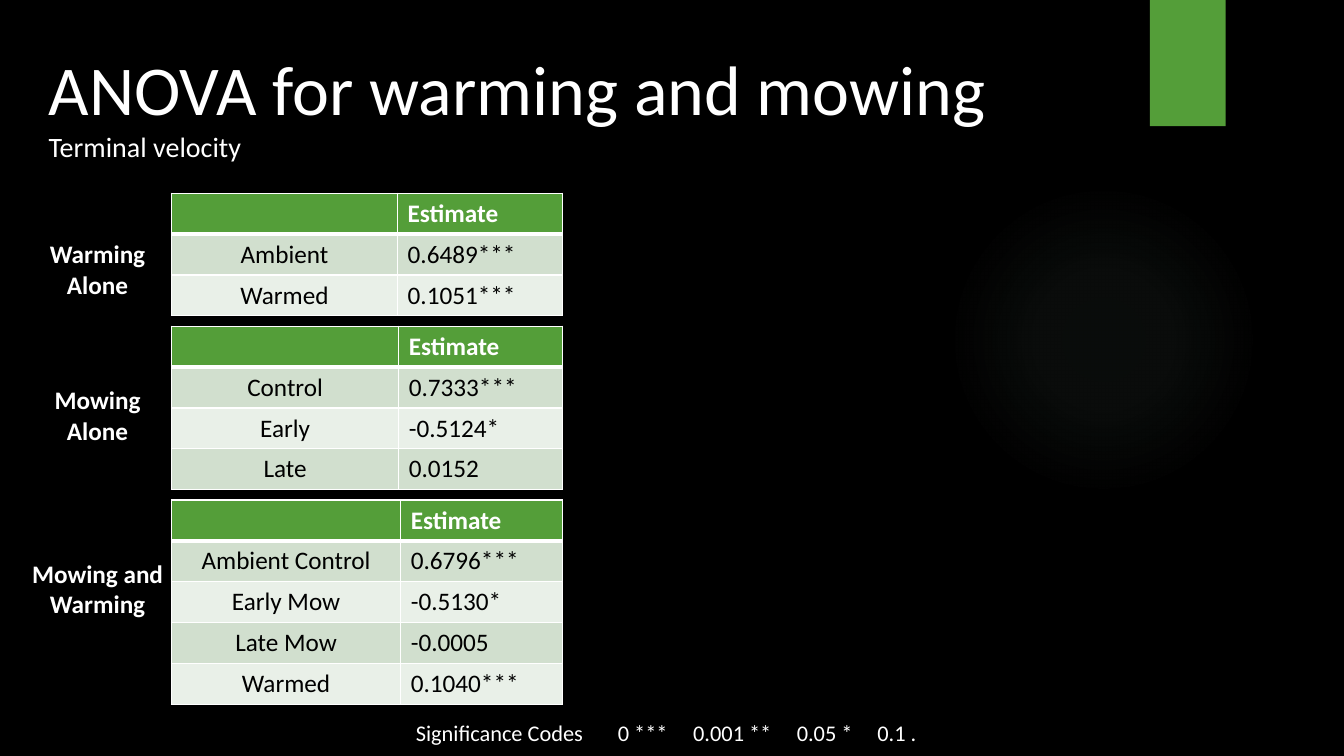
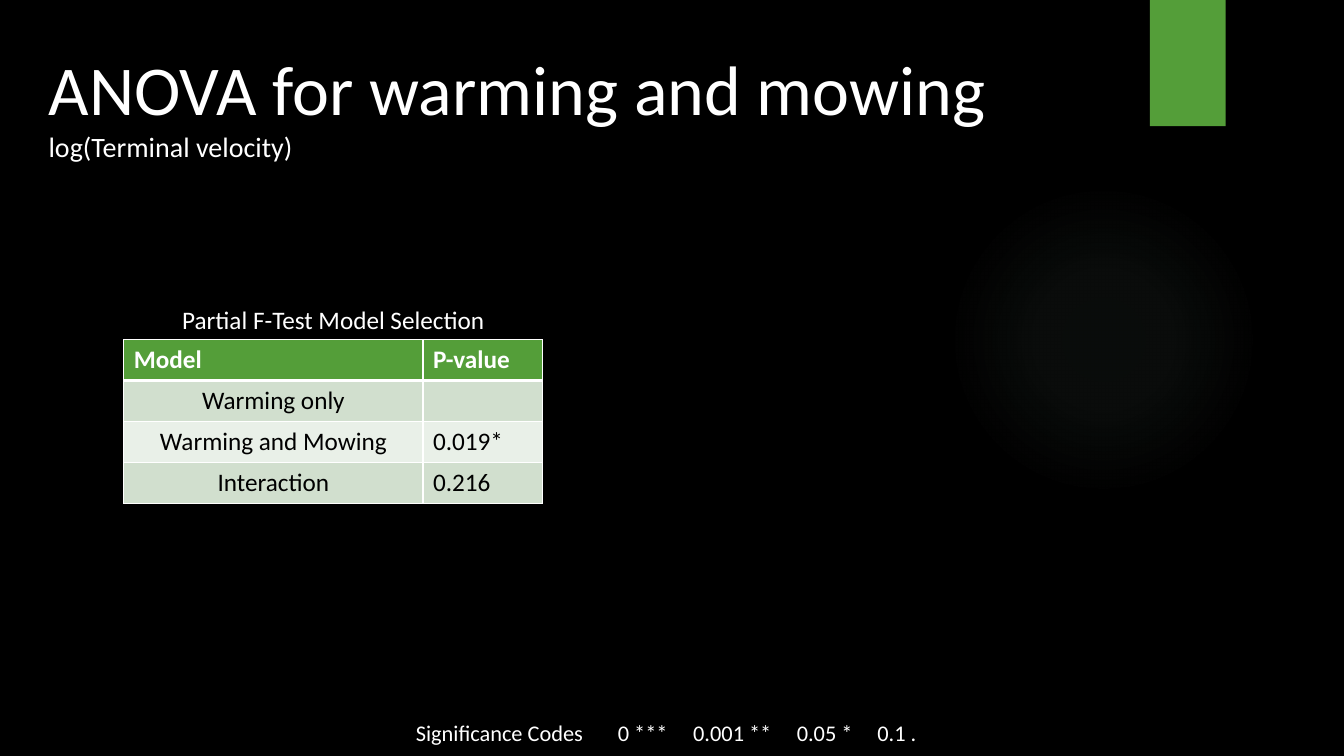
from pptx import Presentation
from pptx.dml.color import RGBColor
from pptx.enum.shapes import MSO_SHAPE
from pptx.enum.text import MSO_ANCHOR, MSO_AUTO_SIZE, PP_ALIGN
from pptx.oxml import parse_xml
from pptx.oxml.ns import nsdecls
from pptx.util import Cm, Pt

LEFT, MID = PP_ALIGN.LEFT, PP_ALIGN.CENTER
TOP = MSO_ANCHOR.TOP
FIXED = MSO_AUTO_SIZE.NONE
RECT, OVAL = MSO_SHAPE.RECTANGLE, MSO_SHAPE.OVAL
TITLE_ONLY = 5

HUES = {
    "back": "000000", "text": "FFFFFF", "ink": "000000", "rule": "FFFFFF",
    "green": "549E39", "odd": "D1DFCE", "even": "E9F0E8", "glow": "87A896",
}
FACE = "Calibri"
FORMS = {
    "title": {"size": Pt(50), "bold": False},
    "sub": {"size": Pt(20), "bold": False},
    "label": {"size": Pt(18), "bold": True},
    "plain": {"size": Pt(18), "bold": False},
    "codes": {"size": Pt(16), "bold": False},
}
WIDE, HIGH = 33.87, 19.05
ROW = 1.03
GAP = 0.26

CODES = ["Significance Codes", "0 ***", "0.001 **", "0.05 *", "0.1 ."]
STOPS = [5.09, 6.99, 9.6, 11.63]

# label, offset of label from table top, width of first column, rows
MODELS = [
    ("Warming Alone", 1.02, 5.7, [
        ("", "Estimate"), ("Ambient", "0.6489***"), ("Warmed", "0.1051***")]),
    ("Mowing Alone", 1.35, 5.73, [
        ("", "Estimate"), ("Control", "0.7333***"), ("Early", "-0.5124*"),
        ("Late", "0.0152")]),
    ("Mowing and Warming", 1.35, 5.78, [
        ("", "Estimate"), ("Ambient Control", "0.6796***"),
        ("Early Mow", "-0.5130*"), ("Late Mow", "-0.0005"),
        ("Warmed", "0.1040***")]),
]
TESTS = [
    ("Model", "P-value"), ("Warming only", ""),
    ("Warming and Mowing", "0.019*"), ("Interaction", "0.216"),
]


def box(*sides):
    return [Cm(side) for side in sides]


def paint(fill, hue):
    fill.solid()
    fill.fore_color.rgb = RGBColor.from_string(HUES[hue])


def write(para, text, form, hue="text", align=LEFT):
    para.alignment = align
    if not text:
        return
    run = para.add_run()
    run.text = text
    run.font.name = FACE
    run.font.color.rgb = RGBColor.from_string(HUES[hue])
    for name, value in FORMS[form].items():
        setattr(run.font, name, value)


def note(slide, area, text, form, align=MID):
    """Add a wrapped text box and return its paragraph."""
    frame = slide.shapes.add_textbox(*box(*area)).text_frame
    frame.word_wrap = True
    para = frame.paragraphs[0]
    write(para, text, form, align=align)
    return para


def haze(shape):
    """Fill a shape with a faint glow that fades outward."""
    stops = "".join(
        f'<a:gs pos="{pos}000"><a:srgbClr val="{HUES["glow"]}">'
        f'<a:alpha val="{alpha}000"/></a:srgbClr></a:gs>'
        for pos, alpha in [(0, 7), (36, 6), (69, 0), (100, 0)])
    grad = parse_xml(
        f'<a:gradFill {nsdecls("a")} rotWithShape="1"><a:gsLst>{stops}</a:gsLst>'
        '<a:path path="circle"><a:fillToRect l="50000" t="50000" r="50000"'
        ' b="50000"/></a:path></a:gradFill>')
    shape.element.spPr.insert(2, grad)


def dress(layout, slide):
    """Give the layout its background, decoration and title box."""
    paint(layout.background.fill, "back")
    glow = slide.shapes.add_shape(OVAL, *box(23.9, 4.65, 7.82, 7.82))
    haze(glow)
    bar = slide.shapes.add_shape(RECT, *box(28.98, 0, 1.91, 3.18))
    paint(bar.fill, "green")
    for spot, shape in enumerate((glow, bar), 2):
        shape.line.fill.background()
        shape.shadow.inherit = False
        layout.shapes.element.insert(spot, shape.element)
    title = layout.placeholders[0]
    area = box(0.97, 1.02, 25.02, 3.25)
    for name, value in zip(("left", "top", "width", "height"), area):
        setattr(title, name, value)


def head(slide, sub):
    frame = slide.shapes.title.text_frame
    frame.auto_size = FIXED
    frame.vertical_anchor = TOP
    write(frame.paragraphs[0], "ANOVA for warming and mowing", "title")
    write(frame.add_paragraph(), sub, "sub")


def foot(slide):
    para = note(slide, (10.23, 18, 13.4, 0.94), "\t".join(CODES), "codes", LEFT)
    tabs = "".join(f'<a:tab pos="{Cm(stop)}" algn="l"/>' for stop in STOPS)
    props = para._p.get_or_add_pPr()
    props.append(parse_xml(f'<a:tabLst {nsdecls("a")}>{tabs}</a:tabLst>'))


def edge(cell, row):
    """Rule a cell, with a thicker line below the header row."""
    props = cell._tc.get_or_add_tcPr()
    sides = {"L": 1, "R": 1, "T": 3 if row == 1 else 1, "B": 3 if row == 0 else 1}
    for spot, (side, width) in enumerate(sides.items()):
        props.insert(spot, parse_xml(
            f'<a:ln{side} {nsdecls("a")} w="{Pt(width)}"><a:solidFill>'
            f'<a:srgbClr val="{HUES["rule"]}"/></a:solidFill></a:ln{side}>'))


def grid(slide, left, top, cols, rows):
    area = box(left, top, sum(cols), ROW * len(rows))
    table = slide.shapes.add_table(len(rows), len(cols), *area).table
    table.horz_banding = False
    for col, width in zip(table.columns, cols):
        col.width = Cm(width)
    for r, texts in enumerate(rows):
        table.rows[r].height = Cm(ROW)
        if r == 0:
            fill, form, hue = "green", "label", "text"
        else:
            fill, form, hue = "odd" if r % 2 else "even", "plain", "ink"
        for c, text in enumerate(texts):
            cell = table.cell(r, c)
            paint(cell.fill, fill)
            edge(cell, r)
            align = MID if r and c == 0 else LEFT
            write(cell.text_frame.paragraphs[0], text, form, hue, align)


def stack(slide, left, top, width):
    """Place the labelled model tables one below another."""
    for label, drop, first, rows in MODELS:
        grid(slide, left, top, (first, width - first), rows)
        note(slide, (left - 3.81, top + drop, 3.9, 1.8), label, "label")
        top += ROW * len(rows) + GAP


def choice(slide, left, top, cols):
    """Place the model selection table under its caption."""
    note(slide, (left, top, sum(cols), 1.02), "Partial F-Test Model Selection", "plain")
    grid(slide, left, top + 1.02, cols, TESTS)


def main():
    prs = Presentation()
    prs.slide_width, prs.slide_height = box(WIDE, HIGH)
    layout = prs.slide_layouts[TITLE_ONLY]
    subs = ["Terminal velocity", "log(Terminal velocity)"]
    slides = [prs.slides.add_slide(layout) for _ in subs]
    dress(layout, slides[0])
    for slide, sub in zip(slides, subs):
        head(slide, sub)
        foot(slide)
    stack(slides[0], 4.32, 4.87, 9.85)
    choice(slides[1], 3.12, 7.54, (7.54, 3.02))
    prs.save("out.pptx")


if __name__ == "__main__":
    main()
